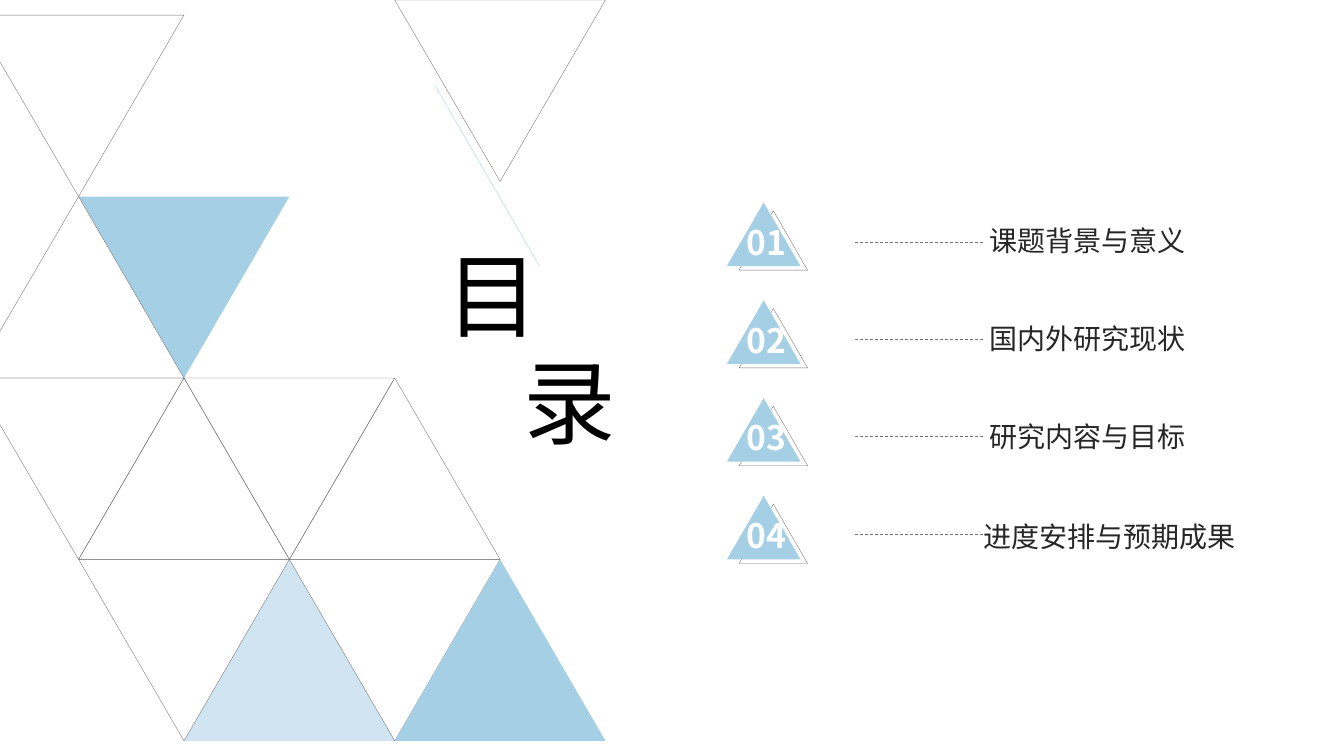
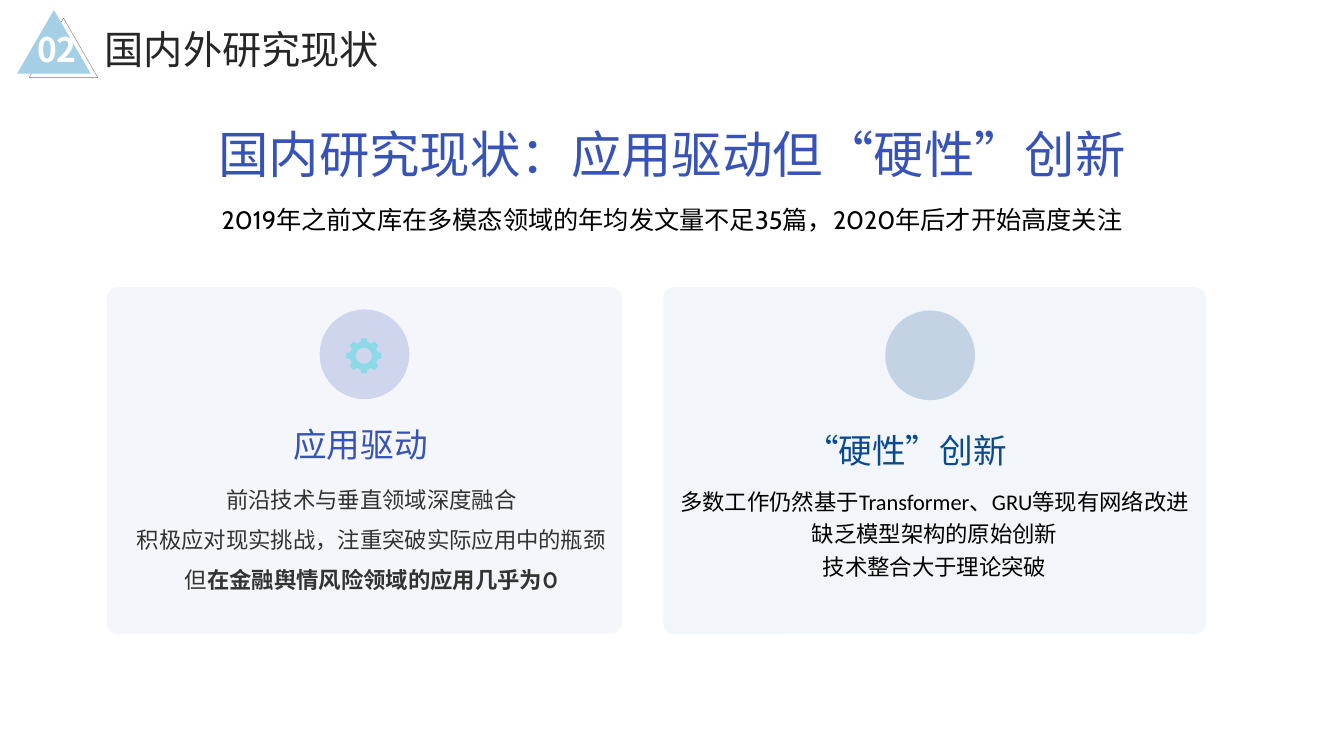
from math import cos, pi, sin

from lxml.etree import SubElement
from pptx import Presentation
from pptx.dml.color import RGBColor
from pptx.enum.dml import MSO_LINE
from pptx.enum.shapes import MSO_CONNECTOR, MSO_SHAPE
from pptx.enum.text import MSO_ANCHOR, PP_ALIGN
from pptx.oxml.ns import qn
from pptx.util import Inches, Pt

COLORS = {
    "sky": "A5CFE5", "gray": "767171", "white": "FFFFFF", "black": "000000",
    "ink": "262626", "body": "333333", "indigo": "3753B7", "navy": "0A4B8F",
    "aqua": "8CD9E8",
}
CJK = "Noto Sans CJK SC"


def paint(shape, fill=None, opacity=100, outline=None):
    shape.shadow.inherit = False
    if fill:
        shape.fill.solid()
        shape.fill.fore_color.rgb = RGBColor.from_string(COLORS[fill])
        if opacity < 100:
            tint = shape._element.spPr.find(qn("a:solidFill"))[0]
            SubElement(tint, qn("a:alpha")).set("val", str(opacity * 1000))
    else:
        shape.fill.background()
    if outline:
        shape.line.color.rgb = RGBColor.from_string(COLORS[outline])
        shape.line.width = Pt(0.25)
    else:
        shape.line.fill.background()


def add_text(slide, box, lines, size, color, font=CJK, align=PP_ALIGN.CENTER,
             spacing=1.0, strong=None, inset=False):
    frame = slide.shapes.add_textbox(*map(Inches, box)).text_frame
    frame.word_wrap = True
    if not inset:
        frame.margin_left = frame.margin_right = 0
        frame.margin_top = frame.margin_bottom = 0
        frame.vertical_anchor = MSO_ANCHOR.MIDDLE
    for index, line in enumerate(lines):
        paragraph = frame.paragraphs[0] if index == 0 else frame.add_paragraph()
        paragraph.alignment = align
        paragraph.line_spacing = spacing
        for part in filter(None, line.partition(strong) if strong else [line]):
            run = paragraph.add_run()
            run.text = part
            run.font.size = Pt(size)
            run.font.bold = part == strong
            run.font.name = font
            run.font.color.rgb = RGBColor.from_string(COLORS[color])
            SubElement(run._r.get_or_add_rPr(), qn("a:ea")).set("typeface", CJK)


deck = Presentation()
deck.slide_width, deck.slide_height = Inches(13.33), Inches(7.5)
contents = deck.slides.add_slide(deck.slide_layouts[6])
status = deck.slides.add_slide(deck.slide_layouts[6])

HALF, SIDE, ROW = 1.045, 2.09, 1.8
LEFT, TOP = 0.78, 0.15
mosaic = [
    (3, -TOP / ROW, True, None, 100), (1, 2, True, None, 100),
    (1, 3, False, "sky", 52), (0, 2, False, None, 100),
    (2, 3, True, None, 100), (3, 3, False, "sky", 100),
    (0, 3, True, None, 100), (0, 1, True, "sky", 100),
    (2, 2, False, None, 100),
]
for column, row, inverted, fill, opacity in mosaic:
    tile = contents.shapes.add_shape(
        MSO_SHAPE.ISOSCELES_TRIANGLE, Inches(LEFT + column * HALF),
        Inches(TOP + row * ROW), Inches(SIDE), Inches(ROW))
    tile.rotation = 180 if inverted else 0
    paint(tile, fill, opacity, None if fill else "gray")

for base, direction in [(3.75, 1), (3.75, -1), (0.15, 1)]:
    corners = [(Inches(x), Inches(base + direction * rise)) for x, rise in
               [(LEFT + HALF, 0), (-0.02, 0), (-0.02, 0.43), (LEFT, ROW)]]
    outline = contents.shapes.build_freeform(*corners[0])
    outline.add_line_segments(corners[1:], close=True)
    paint(outline.convert_to_shape(), outline="gray")

topics = [
    ("课题背景与意义", 9.81, 2.13), ("国内外研究现状", 9.81, 3.1),
    ("研究内容与目标", 9.81, 4.07), ("进度安排与预期成果", 9.75, 5.07),
]
rules = [((4.31, 0.84), (5.35, 2.64), "sky", 0.25, None)]
badges = [(status, 0.17, 0.1, "02")]
for index, (topic, left, top) in enumerate(topics):
    add_text(contents, (left, top, 2.69, 0.51), [topic], 20, "ink",
             align=PP_ALIGN.JUSTIFY)
    level = 2.4 + index * 2.9 / 3
    rules.append(((8.48, level), (9.75, level), "gray", 0.5, MSO_LINE.DASH))
    badges.append((contents, 7.21, 2.01 + index * 0.97, f"{index + 1:02}"))

for start, end, color, width, dash in rules:
    rule = contents.shapes.add_connector(
        MSO_CONNECTOR.STRAIGHT, *map(Inches, start + end))
    rule.line.color.rgb = RGBColor.from_string(COLORS[color])
    rule.line.width = Pt(width)
    rule.line.dash_style = dash
    SubElement(rule._element.spPr, qn("a:effectLst"))

for slide, left, top, number in badges:
    for dx, dy, width, height, fill, line in [
            (0.12, 0.08, 0.68, 0.59, None, "gray"),
            (0, 0, 0.73, 0.63, "sky", None)]:
        triangle = slide.shapes.add_shape(
            MSO_SHAPE.ISOSCELES_TRIANGLE, Inches(left + dx), Inches(top + dy),
            Inches(width), Inches(height))
        paint(triangle, fill, outline=line)
    add_text(slide, (left + 0.1, top + 0.14, 0.68, 0.5), [number], 24, "white",
             align=PP_ALIGN.LEFT, strong=number, inset=True)

for character, box in [("目", (4.33, 2.31, 2.1, 1.21)),
                       ("录", (5.09, 3.37, 1.52, 1.21))]:
    add_text(contents, box, [character], 66, "black", align=PP_ALIGN.LEFT,
             inset=True)

add_text(status, (1.04, 0.23, 4.43, 0.51), ["国内外研究现状"], 28, "ink",
         align=PP_ALIGN.JUSTIFY)
add_text(status, (0, 1.28, 13.33, 0.56), ["国内研究现状：应用驱动但“硬性”创新"],
         36, "indigo", spacing=0.9)
add_text(status, (0, 1.94, 13.33, 0.39),
         ["2019年之前文库在多模态领域的年均发文量不足35篇，2020年后才开始高度关注"],
         18, "black", font="Cabin", spacing=1.3)

cards = [("indigo", 1.06, 5.11, 3.17, 3.07), ("navy", 6.58, 5.38, 8.78, 3.08)]
for color, left, width, disc_left, disc_top in cards:
    card = status.shapes.add_shape(
        MSO_SHAPE.ROUNDED_RECTANGLE, Inches(left), Inches(2.85),
        Inches(width), Inches(3.44))
    card.adjustments[0] = 0.11 / 3.44
    paint(card, color, 5)
    disc = status.shapes.add_shape(
        MSO_SHAPE.OVAL, Inches(disc_left), Inches(disc_top),
        Inches(0.89), Inches(0.89))
    paint(disc, color, 20)

add_text(status, (2.63, 4.17, 1.89, 0.44), ["应用驱动"], 24, "indigo", spacing=1.1)
add_text(status, (1.29, 4.57, 4.79, 1.43),
         ["前沿技术与垂直领域深度融合", "积极应对现实挑战，注重突破实际应用中的瓶颈",
          "但在金融舆情风险领域的应用几乎为0"],
         16, "body", font="Cabin", spacing=1.5,
         strong="在金融舆情风险领域的应用几乎为0")
add_text(status, (7.91, 4.22, 2.15, 0.44), ["“硬性”创新"], 24, "navy", spacing=1.1)
add_text(status, (6.45, 4.73, 5.64, 1.08),
         ["多数工作仍然基于Transformer、GRU等现有网络改进",
          "缺乏模型架构的原始创新", "技术整合大于理论突破"],
         16, "black", font="Calibri", spacing=1.2)

TEETH = 8
teeth = [(radius, (tooth + shift) * 2 * pi / TEETH) for tooth in range(TEETH)
         for radius, shift in [(0.14, -0.32), (0.175, -0.2), (0.175, 0.2), (0.14, 0.32)]]
hole = [(0.08, step * pi / 16) for step in range(32)]
rim, bore = [[(Inches(3.61 + radius * cos(angle)), Inches(3.53 + radius * sin(angle)))
              for radius, angle in ring] for ring in (teeth, hole)]
gear = status.shapes.build_freeform(*rim[0])
gear.add_line_segments(rim[1:], close=True)
gear.move_to(*bore[0])
gear.add_line_segments(bore[1:], close=True)
paint(gear.convert_to_shape(), "aqua")

deck.save("out.pptx")
